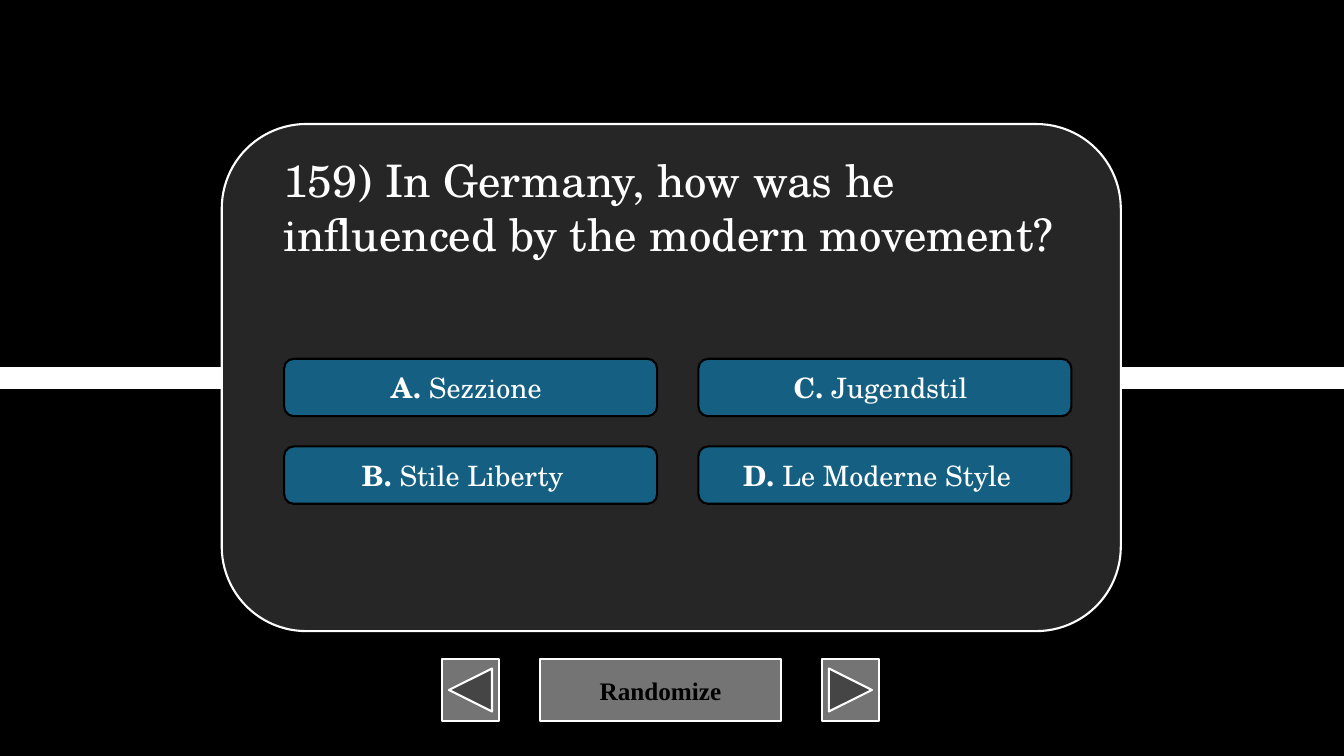
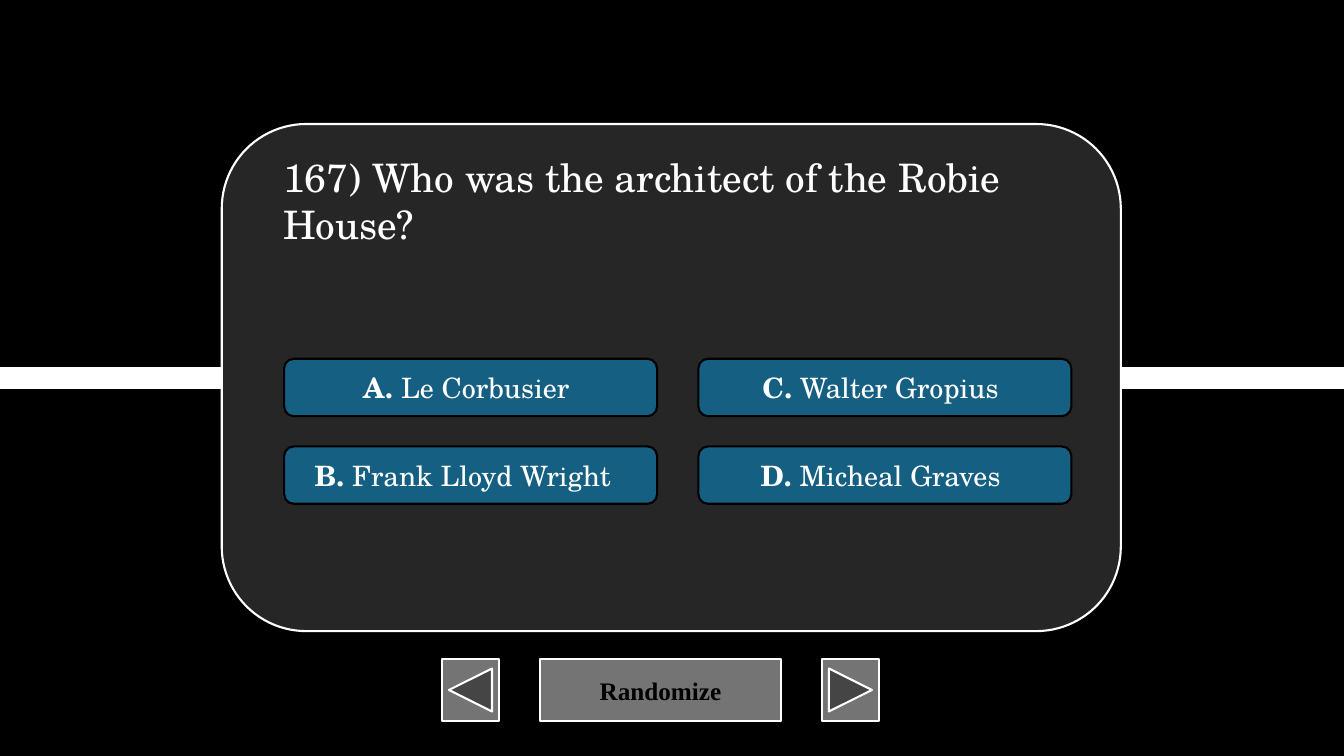
"""Builds two multiple-choice quiz slides with navigation buttons."""
from dataclasses import dataclass

from lxml import etree
from pptx import Presentation
from pptx.dml.color import RGBColor
from pptx.enum.shapes import MSO_CONNECTOR, MSO_SHAPE
from pptx.enum.text import MSO_ANCHOR, MSO_AUTO_SIZE, PP_ALIGN
from pptx.oxml.ns import qn
from pptx.util import Pt

STRAIGHT = MSO_CONNECTOR.STRAIGHT
ROUNDED = MSO_SHAPE.ROUNDED_RECTANGLE
BLANK_BUTTON = MSO_SHAPE.ACTION_BUTTON_CUSTOM
BACK_BUTTON = MSO_SHAPE.ACTION_BUTTON_BACK_OR_PREVIOUS
NEXT_BUTTON = MSO_SHAPE.ACTION_BUTTON_FORWARD_OR_NEXT
MIDDLE = MSO_ANCHOR.MIDDLE
CENTER = PP_ALIGN.CENTER
GROW = MSO_AUTO_SIZE.SHAPE_TO_FIT_TEXT


@dataclass(frozen=True)
class Theme:
    """Colours, fonts and sizes shared by the slides."""
    black: RGBColor = RGBColor.from_string("000000")
    white: RGBColor = RGBColor.from_string("FFFFFF")
    card: RGBColor = RGBColor.from_string("262626")
    answer: RGBColor = RGBColor.from_string("156082")
    button: RGBColor = RGBColor.from_string("747474")
    quiz_font: str = "TeX Gyre Schola"
    button_font: str = "Times New Roman"
    answer_size: float = 20
    button_size: float = 18
    outline: float = 1.5
    band: float = 16


THEME = Theme()
WIDTH, HEIGHT = 960, 540
CARD = (158.4, 88.6, 642.2, 362.2)
QUESTION_LEFT, QUESTION_TOP, QUESTION_WIDTH = 195.1, 105.8, 570.2
ANSWER_LEFT, ANSWER_TOP, ANSWER_WIDTH, ANSWER_HEIGHT = 203, 256.3, 266.4, 41
COLUMN_STEP, ROW_STEP, ROWS = 295.9, 62.6, 2
BUTTON_LEFT, BUTTON_TOP, BUTTON_HEIGHT, BUTTON_GAP = 315.6, 470.9, 43.9, 29.2
INSET = 7.2

BUTTONS = [
    (BACK_BUTTON, 41, ""),
    (BLANK_BUTTON, 172, "Randomize"),
    (NEXT_BUTTON, 41, ""),
]

QUIZ = [
    {
        "question": "159) In Germany, how was he influenced by the modern movement?",
        "size": 32,
        "height": 85,
        "answers": [("Sezzione", 6), ("Stile Liberty", 11),
                    ("Jugendstil", 6), ("Le Moderne Style", 11)],
    },
    {
        "question": "167) Who was the architect of the Robie House?",
        "size": 28,
        "height": 74.9,
        "answers": [("Le Corbusier", 6), ("Frank Lloyd Wright", 11),
                    ("Walter Gropius", 6), ("Micheal Graves", 6)],
    },
]


def add_box(page, kind, place, fill, line):
    """Adds a filled, outlined shape without a shadow."""
    box = page.shapes.add_shape(kind, *map(Pt, place))
    box.shadow.inherit = False
    box.fill.solid()
    box.fill.fore_color.rgb = fill
    box.line.color.rgb = line
    box.line.width = Pt(THEME.outline)
    return box


def style(span, font, size, color, bold=False):
    """Formats one run."""
    span.font.name = font
    span.font.size = Pt(size)
    span.font.color.rgb = color
    span.font.bold = bold


def add_label(box, parts, font, size, color):
    """Centres a line of (text, bold) parts in a shape."""
    frame = box.text_frame
    frame.word_wrap = True
    frame.vertical_anchor = MIDDLE
    para = frame.paragraphs[0]
    para.alignment = CENTER
    for text, bold in parts:
        span = para.add_run()
        span.text = text
        style(span, font, size, color, bold)


def add_frame(page):
    """Draws the background, band, buttons and card of every slide."""
    page.background.fill.solid()
    page.background.fill.fore_color.rgb = THEME.black
    band = page.shapes.add_connector(
        STRAIGHT, Pt(0), Pt(HEIGHT / 2), Pt(WIDTH), Pt(HEIGHT / 2))
    band.line.color.rgb = THEME.white
    band.line.width = Pt(THEME.band)
    etree.SubElement(band._element.spPr, qn("a:effectLst"))

    left = BUTTON_LEFT
    for kind, width, text in BUTTONS:
        button = add_box(page, kind, (left, BUTTON_TOP, width, BUTTON_HEIGHT),
                         THEME.button, THEME.white)
        if text:
            add_label(button, [(text, True)], THEME.button_font,
                      THEME.button_size, THEME.black)
        left += width + BUTTON_GAP
    add_box(page, ROUNDED, CARD, THEME.card, THEME.white)


def add_answers(page, answers):
    """Places the lettered answers column by column."""
    for index, (letter, (text, pull)) in enumerate(zip("ABCD", answers)):
        column, row = divmod(index, ROWS)
        place = (ANSWER_LEFT + column * COLUMN_STEP, ANSWER_TOP + row * ROW_STEP,
                 ANSWER_WIDTH, ANSWER_HEIGHT)
        box = add_box(page, ROUNDED, place, THEME.answer, THEME.black)
        box.text_frame.margin_right = Pt(INSET + pull)
        add_label(box, [(f"{letter}. ", True), (text, False)],
                  THEME.quiz_font, THEME.answer_size, THEME.white)


def add_question(page, text, size, height):
    """Writes the question at the top of the card."""
    box = page.shapes.add_textbox(
        Pt(QUESTION_LEFT), Pt(QUESTION_TOP), Pt(QUESTION_WIDTH), Pt(height))
    frame = box.text_frame
    frame.word_wrap = True
    frame.auto_size = GROW
    frame.text = text
    style(frame.paragraphs[0].runs[0], THEME.quiz_font, size, THEME.white)


def main():
    """Builds and saves the deck."""
    deck = Presentation()
    deck.slide_width, deck.slide_height = Pt(WIDTH), Pt(HEIGHT)
    for item in QUIZ:
        page = deck.slides.add_slide(deck.slide_layouts[6])
        add_frame(page)
        add_answers(page, item["answers"])
        add_question(page, item["question"], item["size"], item["height"])
    deck.save("out.pptx")


if __name__ == "__main__":
    main()
